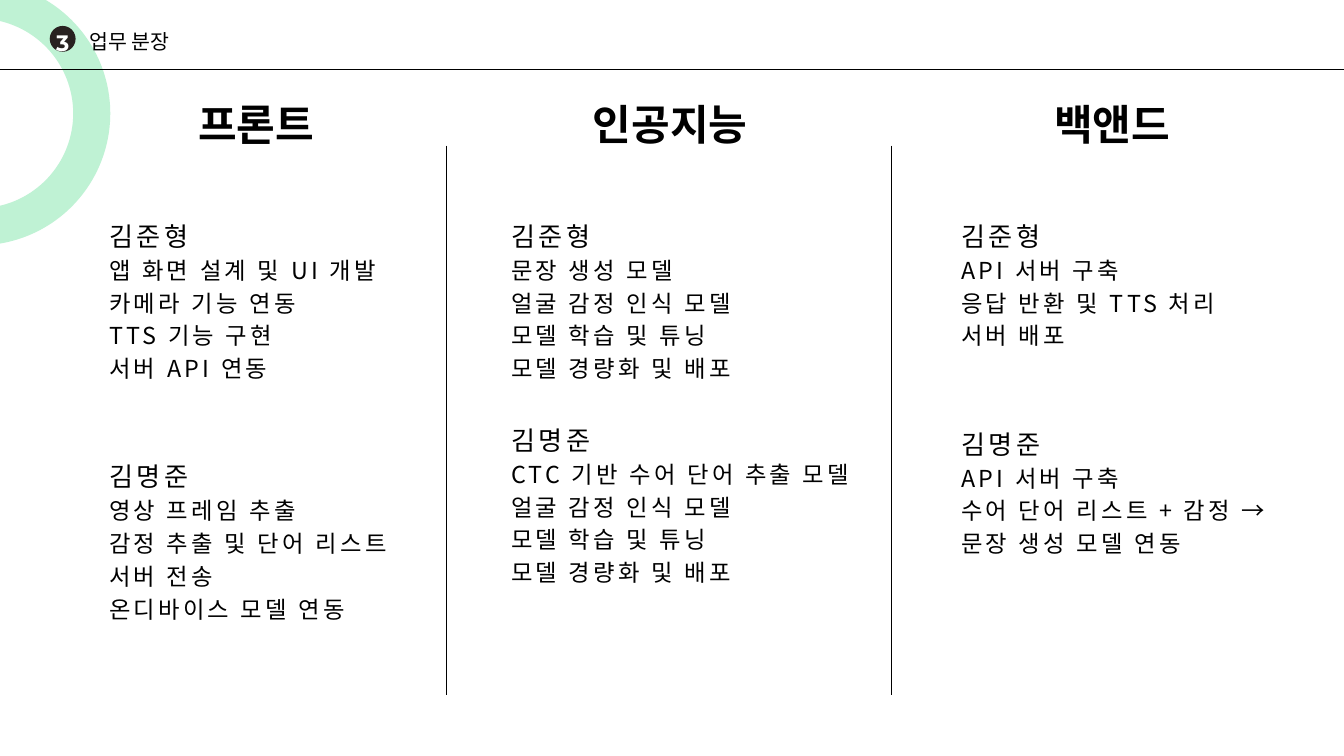
from dataclasses import dataclass

from lxml import etree
from pptx import Presentation
from pptx.dml.color import RGBColor
from pptx.enum.shapes import MSO_CONNECTOR, MSO_SHAPE
from pptx.enum.text import MSO_ANCHOR, MSO_AUTO_SIZE, PP_ALIGN
from pptx.oxml.ns import qn
from pptx.util import Emu, Pt

OVAL = MSO_SHAPE.OVAL
STRAIGHT = MSO_CONNECTOR.STRAIGHT
TOP = MSO_ANCHOR.TOP
FIXED = MSO_AUTO_SIZE.NONE
LEFT, CENTER = PP_ALIGN.LEFT, PP_ALIGN.CENTER
PX = 9525


@dataclass(frozen=True)
class Style:
    """Type size, line pitch, tracking, weight, colour and font of a text."""
    size: float
    pitch: float
    track: float = 0
    bold: bool = False
    color: str = "000000"
    font: str = "Noto Sans CJK KR"


@dataclass(frozen=True)
class Theme:
    """Colours, widths and text styles of the slide."""
    mint: str = "BFF2D4"
    dark: str = "282120"
    ink: str = "000000"
    ring: float = 39.75
    rule: float = 0.75
    title: Style = Style(22, 30.8)
    digit: Style = Style(23.9, 33.5, 0, True, "FFFFFF", "Montserrat")
    head: Style = Style(45, 63, 0, True, "000000", "Montserrat")
    name: Style = Style(28, 39.2, 3.9)
    task: Style = Style(25, 35, 3.5)


THEME = Theme()

COLUMNS = [
    ("프론트", (283, 184), (156, 439, 717), 2, [
        ("김준형", ["앱 화면 설계 및 UI 개발", "카메라 기능 연동",
                 "TTS 기능 구현", "서버 API 연동"]),
        ("김명준", ["영상 프레임 추출", "감정 추출 및 단어 리스트 서버 전송",
                 "온디바이스 모델 연동"])]),
    ("인공지능", (847, 227), (730, 508, 665), 1, [
        ("김준형", ["문장 생성 모델", "얼굴 감정 인식 모델",
                 "모델 학습 및 튜닝", "모델 경량화 및 배포"]),
        ("김명준", ["CTC 기반 수어 단어 추출 모델", "얼굴 감정 인식 모델",
                 "모델 학습 및 튜닝", "모델 경량화 및 배포"])]),
    ("백앤드", (1506, 177), (1373, 439, 579), 2, [
        ("김준형", ["API 서버 구축", "응답 반환 및 TTS 처리", "서버 배포"]),
        ("김명준", ["API 서버 구축",
                 "수어 단어 리스트 + 감정 → 문장 생성 모델 연동"])]),
]


def px(*sizes):
    """Turn pixel lengths into EMU."""
    return [Emu(size * PX) for size in sizes]


def rgb(code):
    """Turn a hex code into a colour."""
    return RGBColor.from_string(code)


def place(shape, box):
    """Move and size a shape."""
    shape.left, shape.top, shape.width, shape.height = px(*box)


def set_frame(shape, wrap=True):
    """Clear the margins of a text shape and return its frame."""
    frame = shape.text_frame
    frame.margin_left = frame.margin_right = 0
    frame.margin_top = frame.margin_bottom = 0
    frame.vertical_anchor = TOP
    frame.auto_size = FIXED
    frame.word_wrap = wrap
    return frame


def set_para(para, text, style, align=LEFT, gap=0):
    """Write a plain paragraph in the given style."""
    para.text = text
    props = para._p.get_or_add_pPr()
    props.set("marL", "0")
    props.set("indent", "0")
    etree.SubElement(props, qn("a:buNone"))
    para.alignment = align
    para.line_spacing = Pt(style.pitch)
    para.space_before = Pt(gap)
    para.space_after = Pt(0)
    for run in para.runs:
        font = run.font
        font.size, font.bold, font.name = Pt(style.size), style.bold, style.font
        font.color.rgb = rgb(style.color)
        mark = run._r.get_or_add_rPr()
        mark.set("spc", str(round(style.track * 100)))
        etree.SubElement(mark, qn("a:ea"), typeface=style.font)


def add_label(slide, text, box, style, align=LEFT):
    """Add a one-line text box."""
    label = slide.shapes.add_textbox(*px(*box))
    set_para(set_frame(label, False).paragraphs[0], text, style, align)


def add_disc(slide, box):
    """Add a flat oval."""
    disc = slide.shapes.add_shape(OVAL, *px(*box))
    disc.shadow.inherit = False
    return disc


def add_ring(slide, box):
    """Add the open ring behind everything else."""
    ring = add_disc(slide, box)
    ring.fill.background()
    ring.line.color.rgb = rgb(THEME.mint)
    ring.line.width = Pt(THEME.ring)
    slide.shapes._spTree.insert(2, ring._element)


def add_badge(slide, text):
    """Add the numbered dot."""
    dot = add_disc(slide, (71, 37, 37, 37))
    dot.fill.solid()
    dot.fill.fore_color.rgb = rgb(THEME.dark)
    dot.line.fill.background()
    add_label(slide, text, (80, 35, 19, 40), THEME.digit, CENTER)


def add_rule(slide, *ends):
    """Add a thin straight line."""
    rule = slide.shapes.add_connector(STRAIGHT, *px(*ends))
    rule.line.color.rgb = rgb(THEME.ink)
    rule.line.width = Pt(THEME.rule)
    etree.SubElement(rule._element.spPr, qn("a:effectLst"))


def fill_list(holder, box, groups, skip):
    """Write each person and their tasks into a body placeholder."""
    place(holder, box)
    frame = set_frame(holder)
    rows = []
    for rank, (name, tasks) in enumerate(groups):
        gap = THEME.name.pitch * skip if rank else 0
        rows.append((name, THEME.name, gap))
        rows += [(task, THEME.task, 0) for task in tasks]
    for rank, (text, style, gap) in enumerate(rows):
        para = frame.add_paragraph() if rank else frame.paragraphs[0]
        set_para(para, text, style, gap=gap)


def main():
    """Build and save the slide."""
    deck = Presentation()
    deck.slide_width, deck.slide_height = px(1920, 1080)
    slide = deck.slides.add_slide(deck.slide_layouts[4])
    title, *bodies = slide.placeholders
    place(title, (128, 35, 612, 41))
    set_para(set_frame(title).paragraphs[0], "업무 분장", THEME.title)
    add_ring(slide, (-193, 0, 324, 324))
    add_badge(slide, "3")
    add_rule(slide, -267, 99, 1920, 99)
    for x in (638, 1273):
        add_rule(slide, x, 208, x, 993)
    for holder, (head, (x, wide), (left, width, high), skip, groups) in zip(
            bodies, COLUMNS):
        add_label(slide, head, (x, 129, wide, 80), THEME.head)
        fill_list(holder, (left, 307, width, high), groups, skip)
    for spare in bodies[len(COLUMNS):]:
        spare._element.getparent().remove(spare._element)
    deck.save("out.pptx")


if __name__ == "__main__":
    main()
